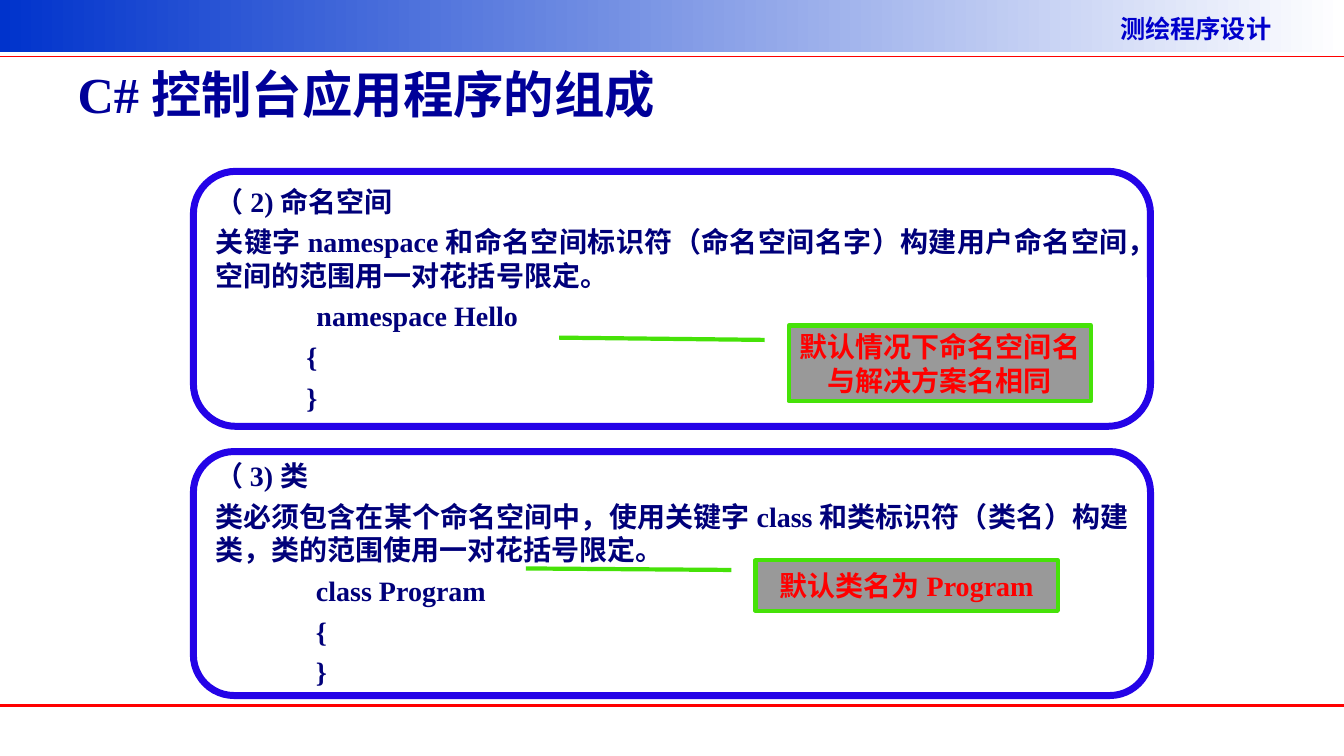
import pptx
import pptx.util
from pptx.dml.color import RGBColor
from pptx.enum.shapes import MSO_CONNECTOR, MSO_SHAPE
from pptx.enum.text import MSO_ANCHOR, MSO_AUTO_SIZE, PP_ALIGN
from pptx.oxml.ns import qn
from lxml import etree

PX = 9144  # EMU per px, 100 px to the inch
WIDTH, HEIGHT = 1334, 750
LATIN, CHINESE = "Times New Roman", "Noto Sans CJK SC"


def px(*lengths):
    return [pptx.util.Emu(length * PX) for length in lengths]


def color(hex_string):
    return RGBColor.from_string(hex_string)


def write(shape, lines, size, ink, align=PP_ALIGN.JUSTIFY, anchor=MSO_ANCHOR.MIDDLE,
          latin=LATIN, space=5):
    """Fill a shape with (text, indent in px) lines."""
    frame = shape.text_frame
    frame.word_wrap = True
    frame.auto_size = MSO_AUTO_SIZE.NONE
    frame.vertical_anchor = anchor
    for index, (text, indent) in enumerate(lines):
        paragraph = frame.add_paragraph() if index else frame.paragraphs[0]
        paragraph.alignment = align
        paragraph.space_before = pptx.util.Pt(space if index else 0)
        properties = paragraph._p.get_or_add_pPr()
        properties.set("marL", str(indent * PX))
        properties.set("indent", "0")
        run = paragraph.add_run()
        run.text = text
        font = run.font
        font.size, font.bold, font.name = pptx.util.Pt(size), True, latin
        font.color.rgb = color(ink)
        east_asian = etree.SubElement(run._r.get_or_add_rPr(), qn("a:ea"))
        east_asian.set("typeface", CHINESE)


def add_outlined(slide, kind, box, line, width, fill=None):
    shape = slide.shapes.add_shape(kind, *px(*box))
    shape.shadow.inherit = False
    if fill:
        shape.fill.solid()
        shape.fill.fore_color.rgb = color(fill)
    else:
        shape.fill.background()
    shape.line.color.rgb = color(line)
    shape.line.width = pptx.util.Pt(width)
    return shape


def add_rule(slide, y, width):
    rule = slide.shapes.add_connector(MSO_CONNECTOR.STRAIGHT, *px(0, y, WIDTH, y))
    rule.line.color.rgb = color("FF0000")
    rule.line.width = pptx.util.Pt(width)
    etree.SubElement(rule._element.spPr, qn("a:effectLst"))


def add_frame(slide, course):
    """Header band with the course name, and the red rules."""
    band = slide.shapes.add_shape(MSO_SHAPE.RECTANGLE, *px(0, 0, WIDTH, 52))
    band.shadow.inherit = False
    band.line.fill.background()
    band.fill.gradient()
    band.fill.gradient_angle = 0
    for stop, (position, shade) in zip(band.fill.gradient_stops,
                                       [(0, "0033CC"), (1, "FFFFFF")]):
        stop.position = position
        stop.color.rgb = color(shade)
    label = slide.shapes.add_textbox(*px(1102, 8, 232, 40))
    write(label, [(course, 0)], 18, "0000CC", anchor=MSO_ANCHOR.TOP, latin=CHINESE)
    add_rule(slide, 56, 1)
    add_rule(slide, 700, 2.25)


def add_title(slide, text, box):
    title = slide.shapes.title
    title.left, title.top, title.width, title.height = px(*box)
    write(title, [(text, 0)], 36, "000099")


def add_panel(slide, box, lines, note, note_box):
    """Rounded panel of text with a callout; note_box is relative to the panel."""
    left, top = box[:2]
    panel = add_outlined(slide, MSO_SHAPE.ROUNDED_RECTANGLE, box, "2403E7", 5)
    write(panel, lines, 20, "00007A")
    x, y, width, height = note_box
    callout = add_outlined(slide, MSO_SHAPE.LINE_CALLOUT_1,
                           (left + x, top + y, width, height), "46E208", 3, "999999")
    for index, value in enumerate([0.19, -0.08, 0.16, -0.76]):
        callout.adjustments[index] = value
    write(callout, [(note, 0)], 20, "FF0000", align=PP_ALIGN.CENTER)


def main():
    presentation = pptx.Presentation()
    presentation.slide_width, presentation.slide_height = px(WIDTH, HEIGHT)
    slide = presentation.slides.add_slide(presentation.slide_layouts.get_by_name("Title Only"))
    add_frame(slide, "测绘程序设计")
    add_title(slide, "C#控制台应用程序的组成", (67, 30, 1200, 125))
    add_panel(slide, (192, 170, 950, 253), [
        ("（2)命名空间", 0),
        ("关键字namespace和命名空间标识符（命名空间名字）构建用户命名空间，空间的范围用一对花括号限定。", 0),
        ("namespace Hello", 100),
        ("{", 90),
        ("}", 90),
    ], "默认情况下命名空间名与解决方案名相同", (591, 153, 300, 75))
    add_panel(slide, (192, 448, 950, 242), [
        ("（3)类", 0),
        ("类必须包含在某个命名空间中，使用关键字class和类标识符（类名）构建类，类的范围使用一对花括号限定。", 0),
        ("class Program", 100),
        ("{", 100),
        ("}", 100),
    ], "默认类名为Program", (558, 108, 300, 50))
    presentation.save("out.pptx")


if __name__ == "__main__":
    main()
